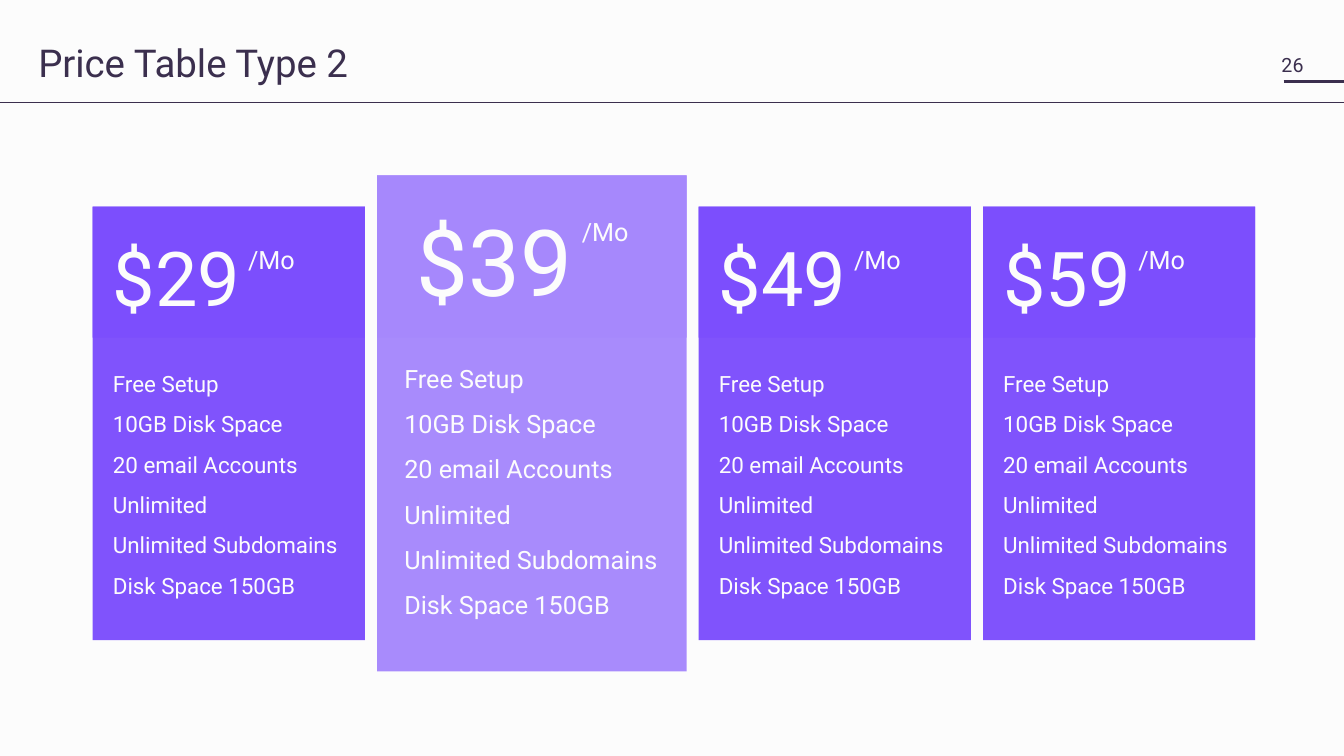
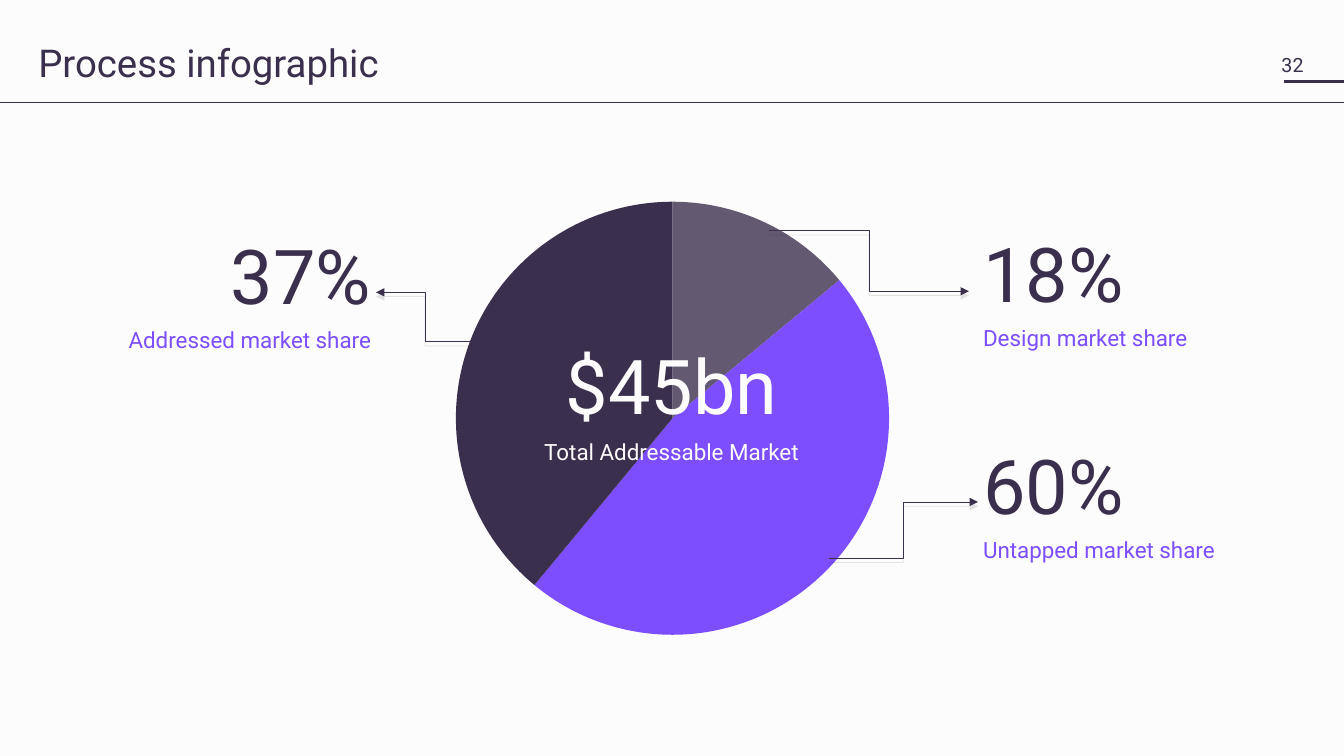
from dataclasses import dataclass

from lxml import etree
from pptx import Presentation
from pptx.chart.data import CategoryChartData
from pptx.dml.color import RGBColor
from pptx.enum import chart as xl, shapes, text
from pptx.oxml import ns, parse_xml
from pptx.util import Inches, Pt

WIDTH, HEIGHT = 13.33, 7.5
PAPER, INK, VIOLET, LILAC = "FCFCFC", "3B2F4E", "7C4EFD", "A688FC"
FONT = "Roboto"
LEFT, CENTER, RIGHT = text.PP_ALIGN.LEFT, text.PP_ALIGN.CENTER, text.PP_ALIGN.RIGHT
FEATURES = ["Free Setup", "10GB Disk Space", "20 email Accounts", "Unlimited",
            "Unlimited Subdomains", "Disk Space 150GB"]


def rgb(colour):
    return RGBColor.from_string(colour)


def add_xml(parent, tag, **attrs):
    return etree.SubElement(parent, ns.qn(tag), attrs)


def paint(fill, colour, opacity=100):
    """Fill solidly; opacity is a percentage."""
    fill.solid()
    fill.fore_color.rgb = rgb(colour)
    if opacity < 100:
        # the colour element is reached through the fill's own XML
        clr = fill._xPr.find(ns.qn("a:solidFill"))[0]
        add_xml(clr, "a:alpha", val=str(opacity * 1000))


def add_text(tree, box, lines, size, colour, align=LEFT, spacing=None, inset=0.0):
    tb = tree.add_textbox(*map(Inches, box))
    tf = tb.text_frame
    tf.word_wrap = True
    tf.margin_left = tf.margin_right = tf.margin_top = tf.margin_bottom = Inches(inset)
    for i, line in enumerate(lines):
        p = tf.paragraphs[0] if i == 0 else tf.add_paragraph()
        p.text = line
        p.alignment = align
        if spacing:
            p.line_spacing = spacing
        p.font.name, p.font.size = FONT, Pt(size)
        p.font.color.rgb = rgb(colour)
    return tf


def add_rect(tree, box, colour, opacity=100):
    sp = tree.add_shape(shapes.MSO_SHAPE.RECTANGLE, *map(Inches, box))
    sp.shadow.inherit = False
    sp.line.fill.background()
    paint(sp.fill, colour, opacity)


def add_rule(s, x1, x2, y, width):
    line = s.shapes.add_connector(shapes.MSO_CONNECTOR.STRAIGHT,
                                  Inches(x1), Inches(y), Inches(x2), Inches(y))
    line.line.color.rgb = rgb(INK)
    line.line.width = Pt(width)
    add_xml(line._element.spPr, "a:effectLst")


def new_slide(prs, title, number):
    """Add a slide with the shared background, title, rules and page number."""
    s = prs.slides.add_slide(prs.slide_layouts[6])
    paint(s.background.fill, PAPER)
    add_rule(s, 12.73, WIDTH, 0.81, 2)
    add_rule(s, 0, WIDTH, 1.02, 0.5)
    tf = add_text(s.shapes, (12.64, 0.46, 0.36, 0.37), [number], 14, INK, inset=0.07)
    tf.word_wrap = False
    tf.vertical_anchor = text.MSO_ANCHOR.MIDDLE
    add_text(s.shapes, (0.33, 0.45, 11.43, 0.54), [title], 27.4, INK,
             spacing=0.75, inset=0.05)
    return s


@dataclass
class CardStyle:
    """Sizes of a price card; offsets are from its top left corner."""
    colour: str
    width: float
    height: float
    head: float
    price_at: tuple
    price_box: tuple
    price_size: int
    period_at: tuple
    list_at: tuple
    list_box: tuple
    list_size: int


PLAIN = CardStyle(VIOLET, 2.7, 4.3, 1.3, (0.2, 0.24), (1.41, 0.91), 54,
                  (1.54, 0.37), (0.2, 1.49), (2.5, 2.38), 16)
FEATURED = CardStyle(LILAC, 3.07, 4.92, 1.61, (0.39, 0.28), (1.75, 1.11), 66,
                     (2.03, 0.41), (0.27, 1.71), (2.53, 2.68), 18)


def price_card(s, x, y, style, price):
    tree = s.shapes.add_group_shape().shapes

    def place(offset, size):
        return (x + offset[0], y + offset[1], *size)

    add_rect(tree, (x, y, style.width, style.height), style.colour, 97)
    add_rect(tree, (x, y, style.width, style.head), style.colour)
    add_text(tree, place(style.price_at, style.price_box), [price],
             style.price_size, PAPER)
    add_text(tree, place(style.period_at, (1.01, 0.3)), ["/Mo"], 18, PAPER)
    add_text(tree, place(style.list_at, style.list_box), FEATURES,
             style.list_size, PAPER, spacing=1.5)


def price_slide(prs):
    s = new_slide(prs, "Price Table Type 2", "26")
    x, gap, middle = 0.92, 0.12, 4.2
    for price, style in [("$29", PLAIN), ("$39", FEATURED),
                         ("$49", PLAIN), ("$59", PLAIN)]:
        price_card(s, x, middle - style.height / 2, style, price)
        x += style.width + gap


def market_pie(s, x, y, size):
    data = CategoryChartData()
    data.categories = ["1", "2", "3"]
    data.add_series("Series 1", (14, 47, 39))
    chart = s.shapes.add_chart(xl.XL_CHART_TYPE.PIE, Inches(x), Inches(y),
                               Inches(size), Inches(size), data).chart
    chart.has_legend = chart.has_title = False
    chart.font.name, chart.font.size = "Calibri", Pt(10)
    chart.font.color.rgb = rgb("15243B")
    plot = chart.plots[0]
    plot.vary_by_categories = False
    series = plot.series[0]
    paint(series.format.fill, VIOLET)
    for i, (colour, opacity) in enumerate([(INK, 79), (VIOLET, 100), (INK, 100)]):
        fmt = series.points[i].format
        paint(fmt.fill, colour, opacity)
        fmt.line.fill.background()
    area = chart._chartSpace.chart.plotArea
    for old in area.findall(ns.qn("c:layout")):
        area.remove(old)
    area.insert(0, parse_xml(
        f'<c:layout {ns.nsdecls("c")}><c:manualLayout><c:layoutTarget val="inner"/>'
        '<c:xMode val="edge"/><c:yMode val="edge"/><c:x val="0.005"/><c:y val="0.005"/>'
        '<c:w val="0.99"/><c:h val="0.99"/></c:manualLayout></c:layout>'))


def elbow_arrow(s, start, end):
    """Draw a stepped arrow that turns halfway across, with a faint shadow."""
    (x1, y1), (x2, y2) = start, end
    mid = (x1 + x2) / 2
    points = [(Inches(x), Inches(y)) for x, y in [(mid, y1), (mid, y2), (x2, y2)]]
    builder = s.shapes.build_freeform(Inches(x1), Inches(y1))
    builder.add_line_segments(points, close=False)
    sp = builder.convert_to_shape()
    sp.fill.background()
    sp.line.color.rgb = rgb(INK)
    sp.line.width = Pt(0.5)
    sp.shadow.inherit = False
    props = sp._element.spPr
    add_xml(props.find(ns.qn("a:ln")), "a:tailEnd", type="triangle")
    shadow = add_xml(props.find(ns.qn("a:effectLst")), "a:outerShdw", blurRad="0",
                     dist=str(Pt(3)), dir="5400000", rotWithShape="0")
    black = add_xml(shadow, "a:srgbClr", val="000000")
    add_xml(black, "a:alpha", val="10000")


def share_label(s, x, y, value, caption, align):
    add_text(s.shapes, (x, y, 2.72, 0.98), [value], 54, INK, align, 0.8, 0.05)
    add_text(s.shapes, (x, y + 0.84, 2.72, 0.36), [caption], 16, VIOLET, align, 0.8, 0.05)


def market_slide(prs):
    s = new_slide(prs, "Process infographic", "32")
    market_pie(s, 4.5, 1.98, 4.34)
    add_text(s.shapes, (5.29, 3.49, 2.74, 0.84), ["$45bn"], 54, PAPER, CENTER, 0.8, 0.05)
    add_text(s.shapes, (5.29, 4.35, 2.74, 0.32), ["Total Addressable Market"], 16,
             PAPER, CENTER, 0.8, 0.05)
    for x, y, value, caption, align, start, end in [
        (1.01, 2.4, "37%", "Addressed market share", RIGHT, (4.7, 3.39), (3.73, 2.9)),
        (9.7, 2.38, "18%", "Design market share", LEFT, (7.63, 2.29), (9.61, 2.89)),
        (9.7, 4.48, "60%", "Untapped market share", LEFT, (8.22, 5.54), (9.7, 4.98)),
    ]:
        share_label(s, x, y, value, caption, align)
        elbow_arrow(s, start, end)


def main():
    prs = Presentation()
    prs.slide_width, prs.slide_height = Inches(WIDTH), Inches(HEIGHT)
    price_slide(prs)
    market_slide(prs)
    prs.save("out.pptx")


if __name__ == "__main__":
    main()
